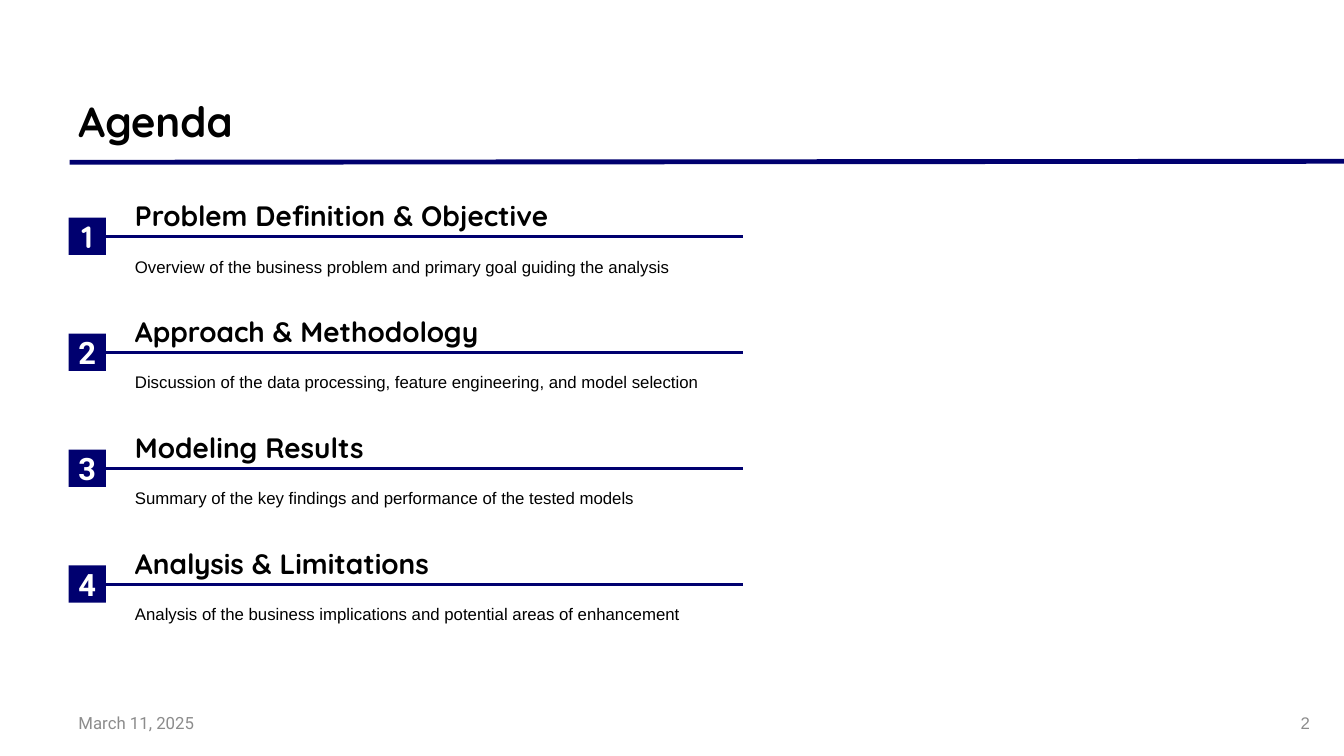
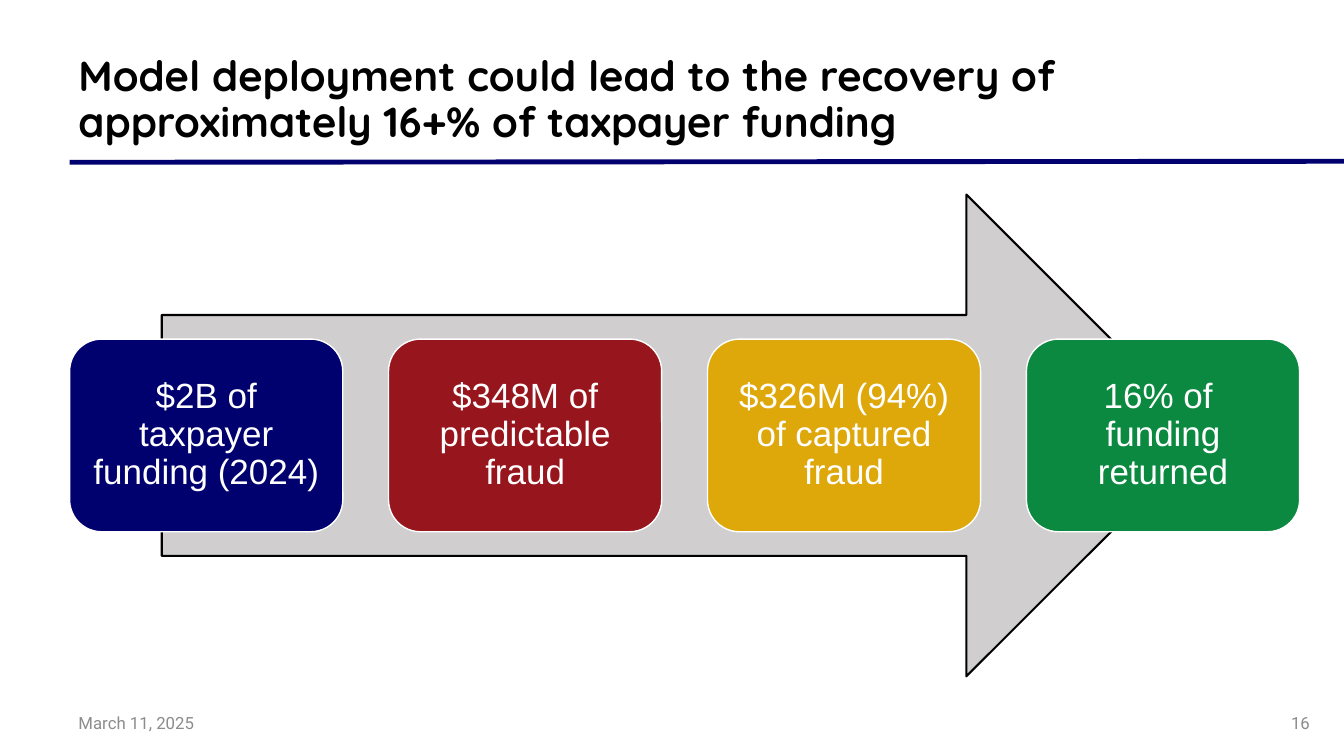
from lxml.etree import SubElement
from pptx import Presentation
from pptx.dml.color import RGBColor
from pptx.enum.shapes import MSO_CONNECTOR, MSO_SHAPE
from pptx.enum.text import MSO_ANCHOR, PP_ALIGN
from pptx.oxml.ns import qn
from pptx.util import Inches, Pt

NAVY = RGBColor(0x00, 0x00, 0x6F)
RED = RGBColor(0x97, 0x15, 0x1C)
GOLD = RGBColor(0xDE, 0xA7, 0x0A)
GREEN = RGBColor(0x0C, 0x89, 0x40)
SILVER = RGBColor(0xD0, 0xCE, 0xCE)
GRAY = RGBColor(0x8C, 0x8C, 0x8C)
BLACK = RGBColor(0x00, 0x00, 0x00)
WHITE = RGBColor(0xFF, 0xFF, 0xFF)
HEADING, BODY, FOOTER = "Quicksand", "Arial", "Roboto"

SECTIONS = [
    ("Problem Definition & Objective",
     "Overview of the business problem and primary goal guiding the analysis"),
    ("Approach & Methodology",
     "Discussion of the data processing, feature engineering, and model selection"),
    ("Modeling Results",
     "Summary of the key findings and performance of the tested models"),
    ("Analysis & Limitations",
     "Analysis of the business implications and potential areas of enhancement"),
]
STEPS = [
    ("$2B of taxpayer funding (2024)", NAVY),
    ("$348M of predictable fraud", RED),
    ("$326M (94%) of captured fraud", GOLD),
    ("16% of \nfunding returned", GREEN),
]


def style(p, text, size, font, color, bold=False, align=PP_ALIGN.LEFT, spacing=None):
    """Write one paragraph and set its look."""
    p.text = text
    p.alignment = align
    p.line_spacing = spacing
    p.font.size = Pt(size)
    p.font.name = font
    p.font.bold = bold
    p.font.color.rgb = color


def add_text(s, x, y, w, h, anchor=MSO_ANCHOR.TOP):
    """Add a wrapping text box and return its text frame."""
    tf = s.shapes.add_textbox(Inches(x), Inches(y), Inches(w), Inches(h)).text_frame
    tf.word_wrap = True
    tf.vertical_anchor = anchor
    return tf


def add_box(s, kind, x, y, w, h, fill, line=None, width=1):
    """Add a flat preset shape, outlined only if a line colour is given."""
    sp = s.shapes.add_shape(kind, Inches(x), Inches(y), Inches(w), Inches(h))
    sp.shadow.inherit = False
    sp.fill.solid()
    sp.fill.fore_color.rgb = fill
    if line is None:
        sp.line.fill.background()
    else:
        sp.line.color.rgb = line
        sp.line.width = Pt(width)
    return sp


def add_rule(s, x1, y1, x2, y2, width):
    """Add a navy straight line without a shadow."""
    rule = s.shapes.add_connector(MSO_CONNECTOR.STRAIGHT, Inches(x1), Inches(y1),
                                  Inches(x2), Inches(y2))
    rule.line.color.rgb = NAVY
    rule.line.width = Pt(width)
    SubElement(rule._element.spPr, qn("a:effectLst"))
    return rule


def add_frame(prs, title, number, number_font=FOOTER):
    """Add a slide with its title, title rule, date and page number."""
    s = prs.slides.add_slide(prs.slide_layouts[6])
    add_rule(s, 0.69, 1.61, 13.33, 1.6, 3.5)
    tf = add_text(s, 0.68, 0.16, 10.57, 1.34, MSO_ANCHOR.BOTTOM)
    style(tf.paragraphs[0], title, 30, HEADING, BLACK, True, spacing=0.9)
    tf = add_text(s, 0.68, 6.97, 2.03, 0.4, MSO_ANCHOR.MIDDLE)
    style(tf.paragraphs[0], "March 11, 2025", 12, FOOTER, GRAY)
    tf.paragraphs[0].space_after = Pt(6)
    tf = add_text(s, 10.09, 6.97, 3, 0.4, MSO_ANCHOR.MIDDLE)
    style(tf.paragraphs[0], str(number), 12, number_font, GRAY, align=PP_ALIGN.RIGHT)
    return s


def add_section(s, x, y, w, number, heading, summary):
    """Add one agenda entry: numbered square, rule, heading and summary."""
    side, indent = 0.37, 0.56
    tf = add_text(s, x + indent, y, w - indent, 1.01)
    style(tf.paragraphs[0], heading, 20, HEADING, BLACK, True, spacing=Pt(31.8))
    style(tf.add_paragraph(), summary, 12, BODY, BLACK, spacing=Pt(31.8))
    square = add_box(s, MSO_SHAPE.RECTANGLE, x, y + 0.35, side, side, NAVY)
    tf = square.text_frame
    tf.margin_left = tf.margin_right = tf.margin_top = tf.margin_bottom = 0
    tf.vertical_anchor = MSO_ANCHOR.MIDDLE
    font = HEADING if number == 1 else FOOTER
    style(tf.paragraphs[0], str(number), 22, font, WHITE, True, PP_ALIGN.CENTER)
    middle = y + 0.35 + side / 2
    rule = add_rule(s, x + side, middle, x + w, middle, 2.25)
    rule.begin_connect(square, 3)


def add_process(s, x, y, w, h):
    """Add a wide arrow with a row of evenly spaced step cards over it."""
    arrow_w, card_w, card_h = 0.85 * w, 2.71, 0.4 * h
    add_box(s, MSO_SHAPE.RIGHT_ARROW, x + (w - arrow_w) / 2, y, arrow_w, h,
            SILVER, BLACK, 1.5)
    pitch = (w - card_w) / (len(STEPS) - 1)
    for i, (text, color) in enumerate(STEPS):
        card = add_box(s, MSO_SHAPE.ROUNDED_RECTANGLE, x + i * pitch,
                       y + (h - card_h) / 2, card_w, card_h, color, WHITE)
        tf = card.text_frame
        tf.word_wrap = True
        tf.vertical_anchor = MSO_ANCHOR.MIDDLE
        tf.margin_left = tf.margin_right = Inches(0.11)
        tf.margin_top = tf.margin_bottom = Inches(0.11)
        style(tf.paragraphs[0], text, 25, BODY, WHITE, align=PP_ALIGN.CENTER, spacing=0.9)


def build_agenda(prs):
    """Build the agenda slide."""
    s = add_frame(prs, "Agenda", 2, BODY)
    for i, (heading, summary) in enumerate(SECTIONS):
        add_section(s, 0.68, 1.81 + 1.15 * i, 6.69, i + 1, heading, summary)


def build_recovery(prs):
    """Build the slide on recovered funding."""
    s = add_frame(prs, "Model deployment could lead to the recovery of "
                       "approximately 16+% of taxpayer funding", 16)
    add_process(s, 0.69, 1.93, 12.2, 4.78)


def main():
    """Build and save the presentation."""
    prs = Presentation()
    prs.slide_width = Inches(13.33)
    prs.slide_height = Inches(7.5)
    build_agenda(prs)
    build_recovery(prs)
    prs.save("out.pptx")


if __name__ == "__main__":
    main()
